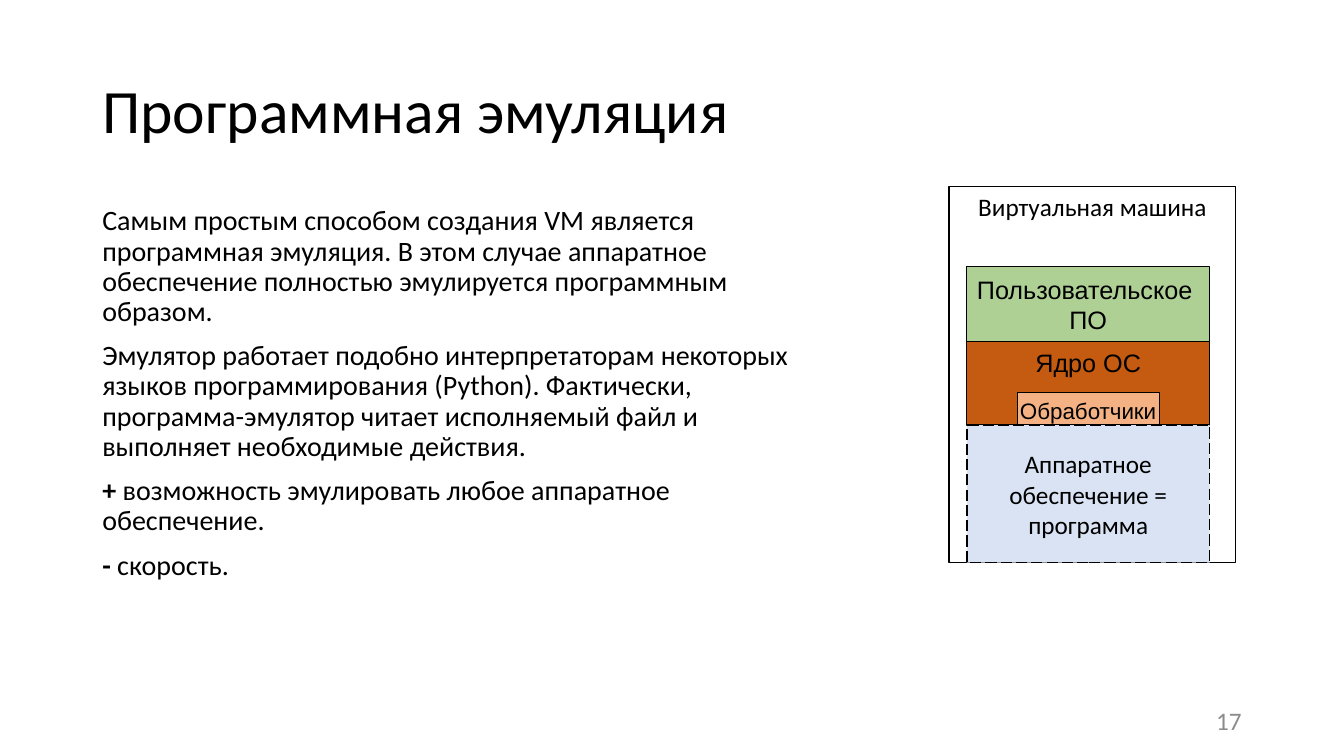
from dataclasses import dataclass

from pptx import Presentation
from pptx.dml.color import RGBColor
from pptx.enum.dml import MSO_LINE
from pptx.enum.shapes import MSO_SHAPE
from pptx.enum.text import MSO_ANCHOR, PP_ALIGN
from pptx.util import Inches, Pt


@dataclass(frozen=True)
class Theme:
    text_font: str = "Calibri"
    layer_font: str = "Arial"
    ink: str = "000000"
    muted: str = "8C8C8C"
    machine: str = "FFFFFF"
    software: str = "AFD095"
    kernel: str = "C55A11"
    handlers: str = "F4B183"
    hardware: str = "DAE3F3"
    title_size: int = 44
    body_size: int = 20
    label_size: int = 18
    small_size: int = 16


class SlideBuilder:
    """Places text and boxes on a grid of 160 columns and 90 rows."""

    def __init__(self, presentation, theme):
        self.theme = theme
        self.column = presentation.slide_width / 160
        self.row = presentation.slide_height / 90
        self.slide = presentation.slides.add_slide(presentation.slide_layouts[6])

    def place(self, left, top, width, height):
        return (round(left * self.column), round(top * self.row),
                round(width * self.column), round(height * self.row))

    def fill_text(self, shape, paragraphs, size, font=None, color=None,
                  align=PP_ALIGN.LEFT, anchor=MSO_ANCHOR.TOP, wrap=True,
                  line_spacing=1.0, space_before=0):
        frame = shape.text_frame
        frame.word_wrap = wrap
        frame.vertical_anchor = anchor
        for index, runs in enumerate(paragraphs):
            paragraph = frame.add_paragraph() if index else frame.paragraphs[0]
            paragraph.alignment = align
            paragraph.line_spacing = line_spacing
            paragraph.space_before = Pt(space_before)
            for text, bold in runs:
                run = paragraph.add_run()
                run.text = text
                run.font.name = font or self.theme.text_font
                run.font.size = Pt(size)
                run.font.bold = bold
                run.font.color.rgb = RGBColor.from_string(color or self.theme.ink)

    def text(self, area, paragraphs, size, **style):
        shape = self.slide.shapes.add_textbox(*self.place(*area))
        self.fill_text(shape, paragraphs, size, **style)

    def box(self, area, lines, fill, line_width=0, dash=None, size=None, **style):
        shape = self.slide.shapes.add_shape(MSO_SHAPE.RECTANGLE, *self.place(*area))
        shape.shadow.inherit = False
        shape.fill.solid()
        shape.fill.fore_color.rgb = RGBColor.from_string(fill)
        shape.line.color.rgb = RGBColor.from_string(self.theme.ink)
        shape.line.width = Pt(line_width)
        if dash:
            shape.line.dash_style = dash
        self.fill_text(shape, [[(line, False)] for line in lines],
                       size or self.theme.label_size, align=PP_ALIGN.CENTER, **style)


def main():
    theme = Theme()
    presentation = Presentation()
    presentation.slide_width = Inches(13.33)
    presentation.slide_height = Inches(7.5)
    builder = SlideBuilder(presentation, theme)

    builder.text((11, 4.8, 138, 17.4), [[("Программная эмуляция", False)]],
                 theme.title_size, anchor=MSO_ANCHOR.MIDDLE, line_spacing=0.9)
    builder.text((113, 83.4, 36, 4.8), [[("17", False)]], theme.label_size,
                 color=theme.muted, align=PP_ALIGN.RIGHT, anchor=MSO_ANCHOR.MIDDLE)
    body = [
        [("Самым простым способом создания VM является программная эмуляция. "
          "В этом случае аппаратное обеспечение полностью эмулируется "
          "программным образом.", False)],
        [("Эмулятор работает подобно интерпретаторам некоторых языков "
          "программирования (Python). Фактически, программа-эмулятор читает "
          "исполняемый файл и выполняет необходимые действия.", False)],
        [("+ ", True), ("возможность эмулировать любое аппаратное обеспечение.", False)],
        [("- ", True), ("скорость.", False)],
    ]
    builder.text((11, 24, 84.4, 59.4), body, theme.body_size,
                 line_spacing=0.9, space_before=10)

    layer_left, layer_width = 115.1, 28.9
    software_top, kernel_top, hardware_top, machine_bottom = 31.7, 40.7, 50.6, 67
    layer_style = dict(font=theme.layer_font, wrap=False)

    builder.box((113, 22.2, 34.1, machine_bottom - 22.2), ["Виртуальная машина"],
                theme.machine, line_width=1)
    builder.box((layer_left, kernel_top, layer_width, hardware_top - kernel_top),
                ["Ядро ОС"], theme.kernel, **layer_style)
    builder.box((layer_left, software_top, layer_width, kernel_top - software_top),
                ["Пользовательское ", "ПО"], theme.software,
                anchor=MSO_ANCHOR.MIDDLE, **layer_style)
    builder.box((layer_left + 6, 46.7, layer_width - 12, 3.8), ["Обработчики"],
                theme.handlers, size=theme.small_size, **layer_style)
    builder.box((layer_left, hardware_top, layer_width, machine_bottom - hardware_top),
                ["Аппаратное обеспечение = программа"], theme.hardware,
                line_width=1, dash=MSO_LINE.LONG_DASH, anchor=MSO_ANCHOR.MIDDLE)

    presentation.save("out.pptx")


if __name__ == "__main__":
    main()
